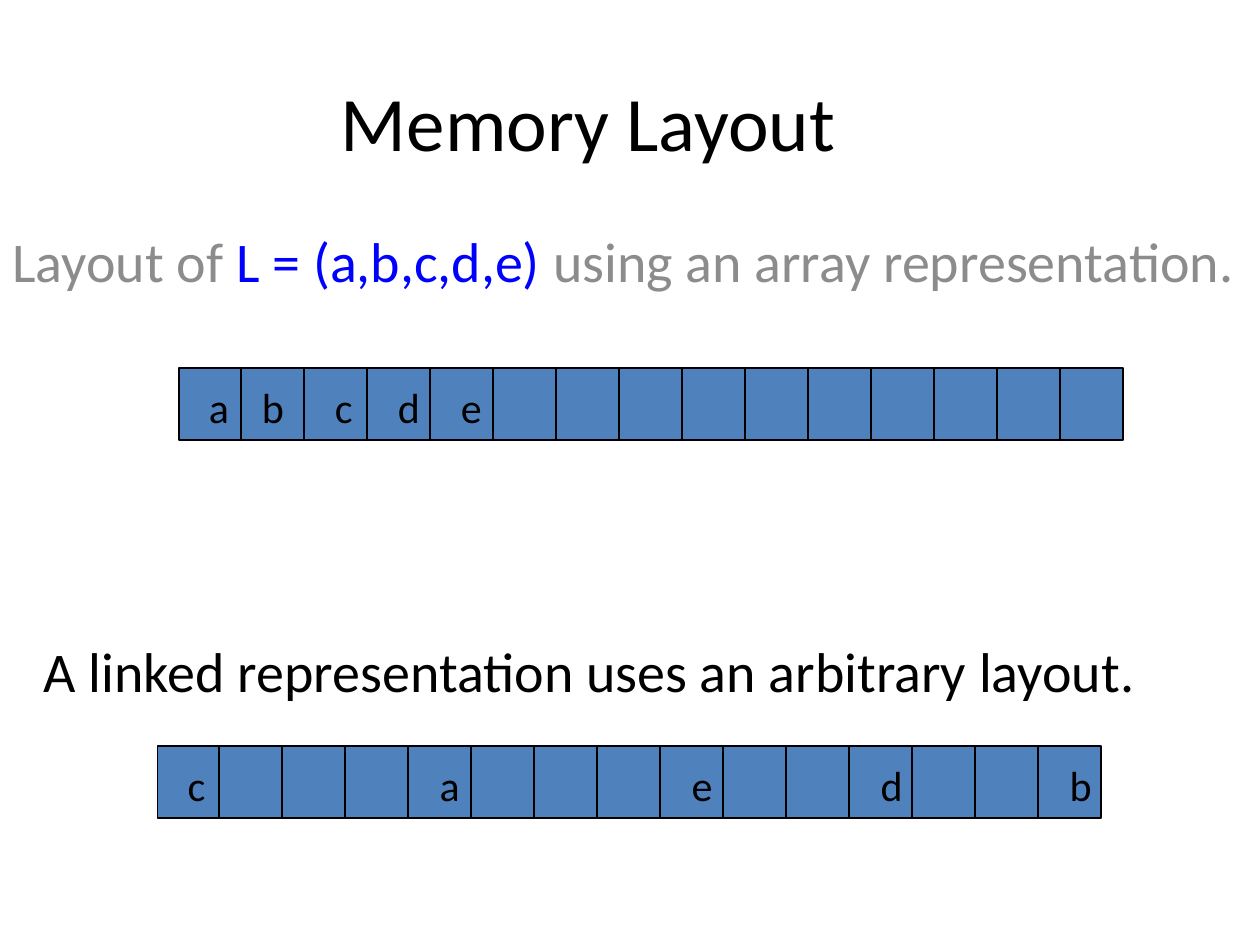
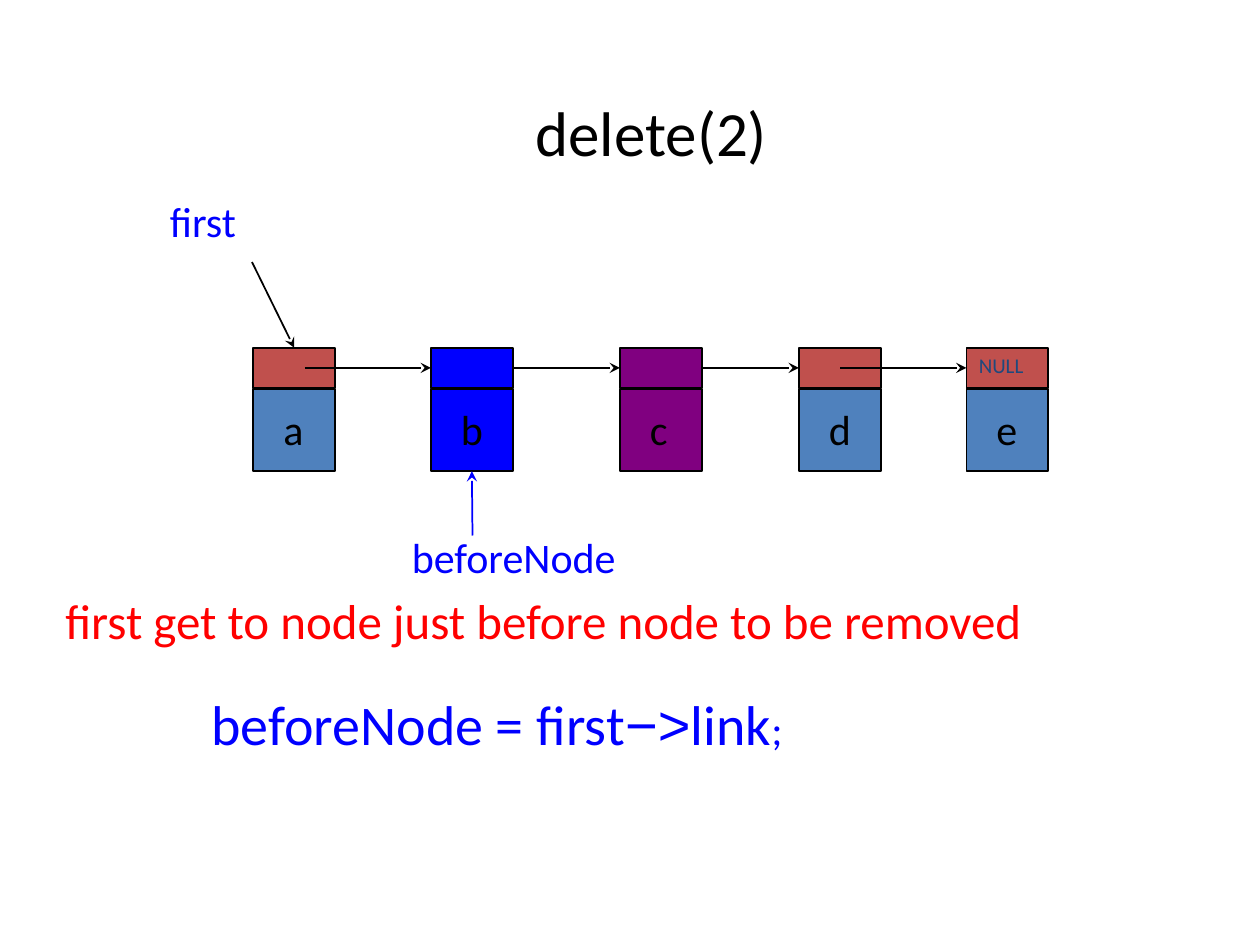
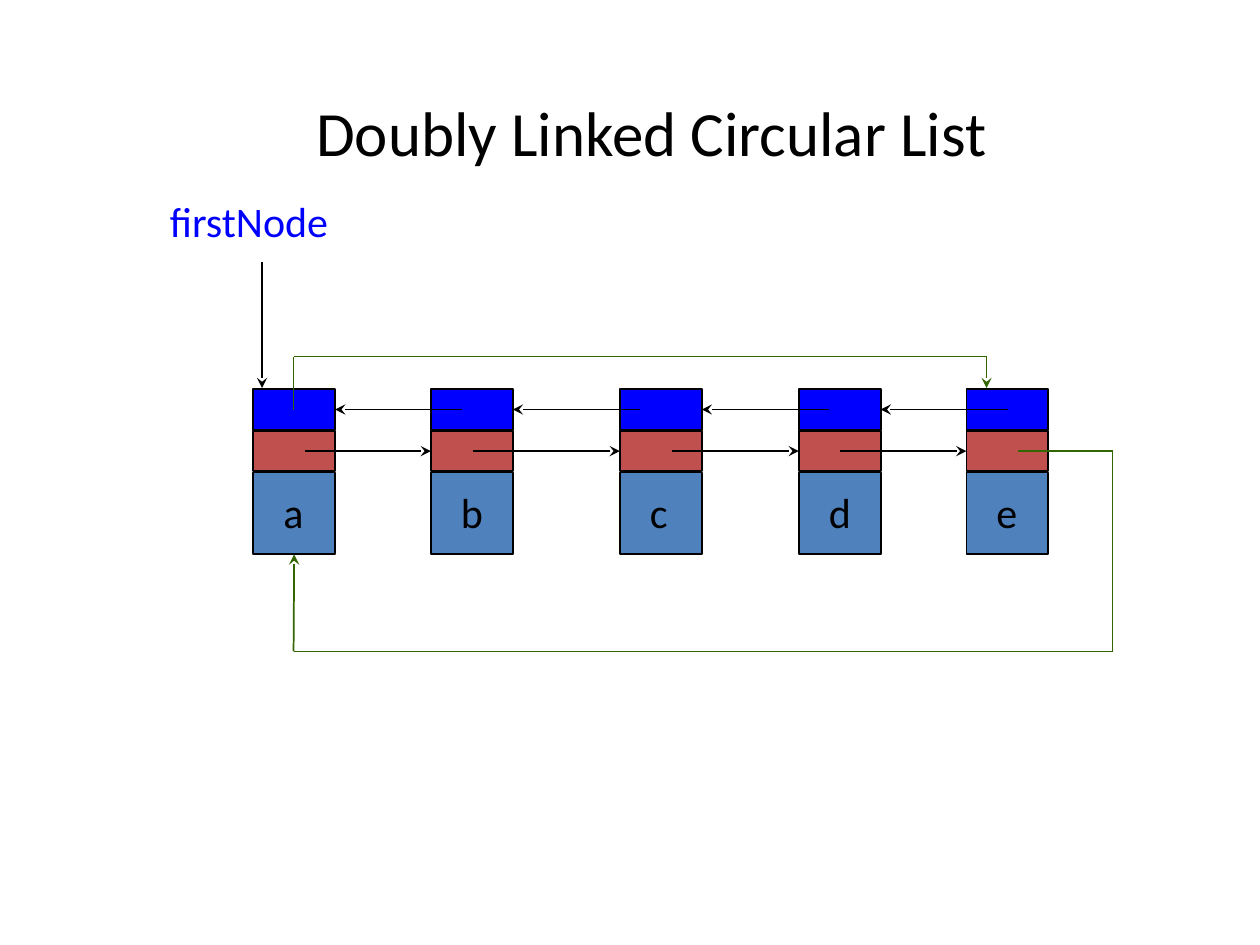
"""Builds three slides on the memory layout of arrays and linked lists."""
from dataclasses import dataclass
from itertools import pairwise

from lxml import etree
from pptx import Presentation
from pptx.dml.color import RGBColor
from pptx.enum import shapes, text
from pptx.oxml import ns
from pptx.util import Inches, Pt


@dataclass(frozen=True)
class Theme:
    """Holds the colours, fonts and type sizes that the slides share."""
    font: str = "Calibri"
    symbol_font: str = "Arial"
    ink: str = "000000"
    grey: str = "8C8C8C"
    navy: str = "1F497D"
    cell: str = "4F81BD"
    link: str = "C0504D"
    blue: str = "0000FF"
    purple: str = "800080"
    red: str = "FF0000"
    green: str = "336600"
    cover_title: int = 44
    title: int = 36
    body: int = 32
    note: int = 28
    label: int = 24
    small: int = 12


THEME = Theme()
LETTERS = "abcde"
NODE_LEFTS = (2.01, 3.42, 4.92, 6.34, 7.67)
NODE_WIDTH = 0.65
FIELD_HEIGHT = 0.32
FIELD_PITCH = 0.33
CELL_COUNT = 15
CELL_PITCH = 0.5
NEXT_STARTS = (2.42, 3.75, 5.33, 6.67)
PREVIOUS_STARTS = (3.67, 5.08, 6.58, 8)
TOP, LEFT, BOTTOM, RIGHT = range(4)


def style_font(font, size, color, name=THEME.font):
    """Sets the name, size and colour of a font."""
    font.name, font.size = name, Pt(size)
    font.color.rgb = RGBColor.from_string(color)


def add_text(slide, box, content, size, color=THEME.ink, wrap=True):
    """Adds a one-paragraph text box and returns its frame."""
    frame = slide.shapes.add_textbox(*map(Inches, box)).text_frame
    frame.word_wrap = wrap
    paragraph = frame.paragraphs[0]
    paragraph.text = content
    style_font(paragraph.font, size, color)
    return frame


def add_runs(slide, box, runs):
    """Adds a one-line text box of differently styled runs."""
    frame = slide.shapes.add_textbox(*map(Inches, box)).text_frame
    frame.word_wrap = True
    for content, *style in runs:
        run = frame.paragraphs[0].add_run()
        run.text = content
        style_font(run.font, *style)


def add_title(slide, content, box=(0.92, 0.42, 8.5, 1.25), size=THEME.title):
    """Adds the centred slide title."""
    frame = add_text(slide, box, content, size)
    frame.vertical_anchor = text.MSO_ANCHOR.MIDDLE
    frame.paragraphs[0].alignment = text.PP_ALIGN.CENTER


def add_letter(slide, left, top, letter):
    """Adds the letter stored in a cell or node."""
    add_text(slide, (left, top, 0.36, 0.5), letter, THEME.label, wrap=False)


def add_box(slide, box, fill):
    """Adds an outlined rectangle."""
    shape = slide.shapes.add_shape(shapes.MSO_SHAPE.RECTANGLE, *map(Inches, box))
    shape.shadow.inherit = False
    shape.fill.solid()
    shape.fill.fore_color.rgb = RGBColor.from_string(fill)
    shape.line.color.rgb = RGBColor.from_string(THEME.ink)
    shape.line.width = Pt(1)
    return shape


def add_line(slide, start=(0, 0), end=(0, 0), color=THEME.ink, arrow=True,
             start_joint=None, end_joint=None):
    """Adds a line whose ends are points or joints on shapes."""
    connector = slide.shapes.add_connector(
        shapes.MSO_CONNECTOR.STRAIGHT, *map(Inches, (*start, *end)))
    if start_joint:
        connector.begin_connect(*start_joint)
    if end_joint:
        connector.end_connect(*end_joint)
    connector.line.color.rgb = RGBColor.from_string(color)
    connector.line.width = Pt(1)
    if arrow:
        outline = connector.line._get_or_add_ln()
        etree.SubElement(outline, ns.qn("a:tailEnd"), type="stealth")
    etree.SubElement(connector._element.spPr, ns.qn("a:effectLst"))


def add_route(slide, points, end_joint=None):
    """Adds a green path of segments with an arrow on the last one."""
    *segments, last = pairwise(points)
    for start, end in segments:
        add_line(slide, start, end, THEME.green, arrow=False)
    add_line(slide, *last, THEME.green, end_joint=end_joint)


def add_memory(slide, left, top, letters):
    """Adds a row of memory cells with letters keyed by cell position."""
    add_box(slide, (left, top, CELL_COUNT * CELL_PITCH - 0.01, 0.57), THEME.cell)
    for index in range(1, CELL_COUNT):
        x = left + index * CELL_PITCH - 0.01
        add_line(slide, (x, top), (x, top + 0.57), arrow=False)
    for position, letter in letters.items():
        add_letter(slide, left + 0.14 + position * CELL_PITCH, top + 0.06, letter)


def add_node(slide, left, top, letter, fields, data_fill=THEME.cell):
    """Adds a list node and returns its pointer fields and data box."""
    parts = [add_box(slide, (left, top + row * FIELD_PITCH, NODE_WIDTH, FIELD_HEIGHT), fill)
             for row, fill in enumerate(fields)]
    data_top = top + len(fields) * FIELD_PITCH
    parts.append(add_box(slide, (left, data_top, NODE_WIDTH, NODE_WIDTH), data_fill))
    add_letter(slide, left + 0.14, data_top + 0.06, letter)
    return parts


def build_memory_slide(slide):
    """Compares array and linked memory layouts."""
    add_title(slide, "Memory Layout", (0.42, 0.33, 8.5, 1.25), THEME.cover_title)
    add_memory(slide, 1.42, 2.92, {0: "a", 0.84: "b", 2: "c", 3: "d", 4: "e"})
    add_memory(slide, 1.25, 5.92, {0: "c", 4: "a", 8: "e", 11: "d", 14: "b"})
    add_text(slide, (0.25, 5, 9.25, 0.63),
             "A linked representation uses an arbitrary layout.", THEME.body)
    add_runs(slide, (0, 1.75, 10, 1), [
        ("Layout of ", THEME.body, THEME.grey),
        ("L = (a,b,c,d,e) ", THEME.body, THEME.blue),
        ("using an array representation.", THEME.body, THEME.grey)])


def build_delete_slide(slide):
    """Shows the node before the one that is deleted."""
    add_title(slide, "delete(2)")
    highlights = {"b": THEME.blue, "c": THEME.purple}
    nodes = {letter: add_node(slide, left, 2.76, letter,
                              [highlights.get(letter, THEME.link)],
                              highlights.get(letter, THEME.cell))
             for letter, left in zip(LETTERS, NODE_LEFTS)}
    for (source, target), x in zip(pairwise(LETTERS), NEXT_STARTS):
        start_joint = (nodes[source][0], RIGHT) if source in highlights else None
        add_line(slide, (x, 2.92), start_joint=start_joint,
                 end_joint=(nodes[target][0], LEFT))
    add_text(slide, (7.67, 2.75, 0.67, 0.3), "NULL", THEME.small, THEME.navy)
    add_text(slide, (1.25, 1.5, 1.83, 0.5), "first", THEME.label, THEME.blue)
    add_line(slide, (2, 2.08), end_joint=(nodes["a"][0], TOP))
    add_text(slide, (3.17, 4.17, 2, 0.5), "beforeNode", THEME.label, THEME.blue)
    add_line(slide, (3.75, 4.25), color=THEME.blue, end_joint=(nodes["b"][1], BOTTOM))
    add_text(slide, (0.42, 4.64, 9.25, 0.57),
             "first get to node just before node to be removed", THEME.note, THEME.red)
    add_runs(slide, (1.58, 5.42, 7, 0.75), [
        ("beforeNode = first", THEME.body, THEME.blue),
        ("−>", THEME.body, THEME.blue, THEME.symbol_font),
        ("link", THEME.body, THEME.blue),
        (";", THEME.label, THEME.blue)])


def build_circular_slide(slide):
    """Shows a doubly linked circular list."""
    add_title(slide, "Doubly Linked Circular List")
    nodes = [add_node(slide, left, 3.09, letter, [THEME.blue, THEME.link])
             for letter, left in zip(LETTERS, NODE_LEFTS)]
    for (before, after), next_x, previous_x in zip(
            pairwise(nodes), NEXT_STARTS, PREVIOUS_STARTS):
        add_line(slide, (next_x, 3.58), end_joint=(after[1], LEFT))
        add_line(slide, (previous_x, 3.25), end_joint=(before[0], RIGHT))
    add_text(slide, (1.25, 1.5, 1.83, 0.5), "firstNode", THEME.label, THEME.blue)
    add_line(slide, (2.08, 2.08), (2.08, 3.08))
    add_route(slide, [(8.08, 3.58), (8.83, 3.58), (8.83, 5.17), (2.33, 5.17), (2.33, 4.42)],
              end_joint=(nodes[0][2], BOTTOM))
    add_route(slide, [(2.33, 3.25), (2.33, 2.83), (7.83, 2.83), (7.83, 3.08)])


def main():
    """Builds and saves the presentation."""
    presentation = Presentation()
    presentation.slide_width, presentation.slide_height = Inches(10), Inches(7.5)
    for build in (build_memory_slide, build_delete_slide, build_circular_slide):
        build(presentation.slides.add_slide(presentation.slide_layouts[6]))
    presentation.save("out.pptx")


if __name__ == "__main__":
    main()
